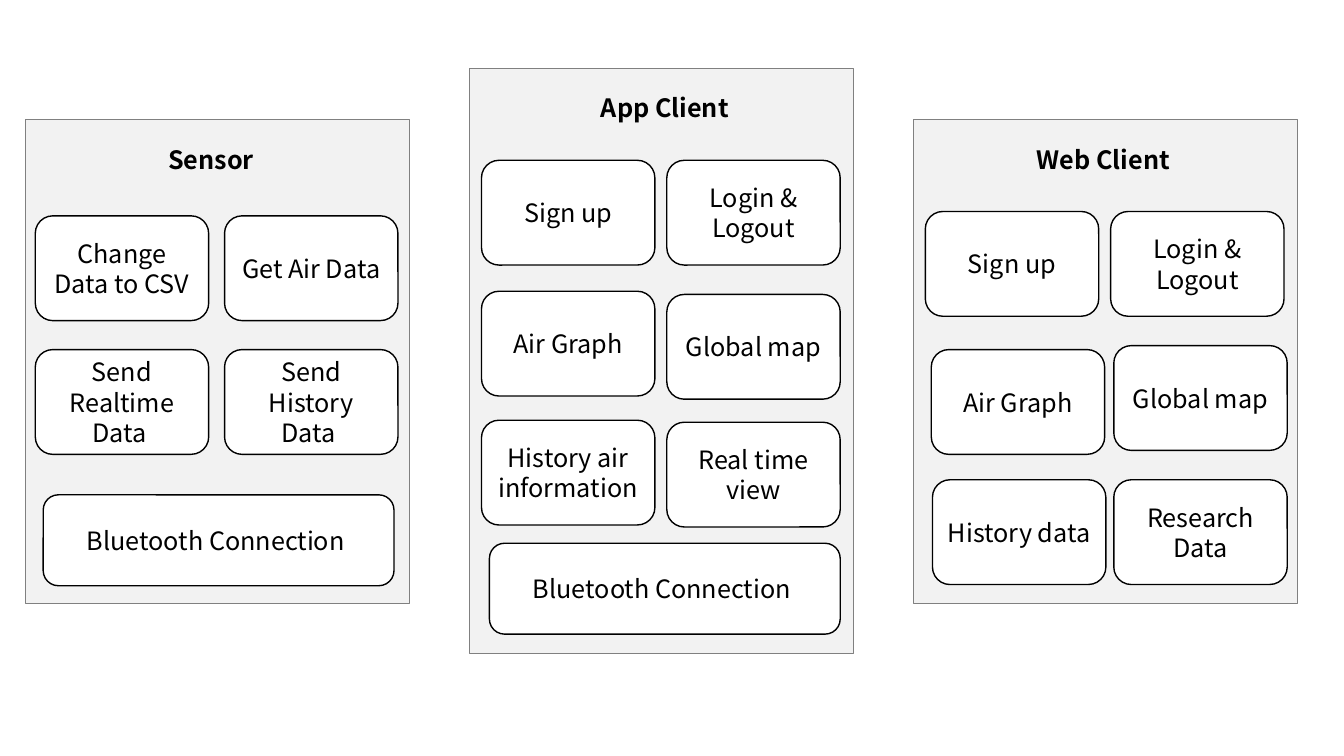
import dataclasses
import typing

import pptx
import pptx.dml.color
import pptx.enum.shapes
import pptx.enum.text
import pptx.util

Cm = pptx.util.Cm
KINDS = pptx.enum.shapes.MSO_SHAPE
ALIGN = pptx.enum.text.PP_ALIGN
HUES = {"panel": "F2F2F2", "edge": "808080", "tile": "FFFFFF", "ink": "000000"}
FONT = {"name": "Noto Sans CJK KR", "size": pptx.util.Pt(18)}
PITCH = 11.185  # left edge to left edge of neighbouring panels, in cm
WIDTH = 9.68


@dataclasses.dataclass
class Tile:
    """A rounded box, placed in cm from its panel's corner."""
    text: str
    left: float
    top: float
    width: float = 4.37
    height: float = 2.64


@dataclasses.dataclass
class Panel:
    """A titled grey panel with its tiles, in cm."""
    title: str
    top: float
    height: float
    indent: float
    tiles: list[Tile]


def link(left: float, top: float) -> Tile:
    """Return the wide connection tile."""
    return Tile("Bluetooth Connection ", left, top, 8.84, 2.29)


PANELS = [
    Panel("Sensor", 3.02, 12.19, 3.35, [
        Tile("Change Data to CSV", 0.25, 2.42),
        Tile("Get Air Data", 5.02, 2.42),
        Tile("Send Realtime Data ", 0.25, 5.79),
        Tile("Send History Data ", 5.02, 5.79),
        link(0.45, 9.45)]),
    Panel("App Client", 1.73, 14.73, 3.07, [
        Tile("Sign up", 0.31, 2.31),
        Tile("Login & Logout", 4.98, 2.31),
        Tile("Air Graph", 0.31, 5.61),
        Tile("Global map", 4.98, 5.69),
        Tile("History air information", 0.31, 8.86),
        Tile("Real time view", 4.98, 8.91),
        link(0.51, 11.96)]),
    Panel("Web Client", 3.02, 12.19, 2.87, [
        Tile("Sign up", 0.31, 2.31),
        Tile("Login & Logout", 4.98, 2.31),
        Tile("Air Graph", 0.46, 5.79),
        Tile("Global map", 5.06, 5.69),
        Tile("History data", 0.49, 9.07),
        Tile("Research Data", 5.06, 9.07)]),
]


def tint(name: str) -> pptx.dml.color.RGBColor:
    """Look up a named colour."""
    return pptx.dml.color.RGBColor.from_string(HUES[name])


def write(shape: typing.Any, text: str, align: ALIGN, bold: bool) -> None:
    """Put one formatted paragraph into a shape."""
    frame = shape.text_frame
    frame.word_wrap = True
    para = frame.paragraphs[0]
    para.alignment = align
    run = para.add_run()
    run.text = text
    for key, value in {**FONT, "bold": bold}.items():
        setattr(run.font, key, value)
    run.font.color.rgb = tint("ink")


def block(shapes: typing.Any, kind: KINDS, area: tuple[float, ...],
          fill: str, edge: str, weight: float) -> typing.Any:
    """Draw a filled, outlined shape over an area in cm."""
    shape = shapes.add_shape(kind, *map(Cm, area))
    shape.shadow.inherit = False
    shape.fill.solid()
    shape.fill.fore_color.rgb = tint(fill)
    shape.line.color.rgb = tint(edge)
    shape.line.width = pptx.util.Pt(weight)
    return shape


def draw(shapes: typing.Any, panel: Panel, left: float) -> None:
    """Draw a panel, its title and its tiles."""
    block(shapes, KINDS.RECTANGLE, (left, panel.top, WIDTH, panel.height),
          "panel", "edge", 0.5)
    area = (left + panel.indent, panel.top + 0.48, 5.33, 1.02)
    title = shapes.add_textbox(*map(Cm, area))
    write(title, panel.title, ALIGN.LEFT, True)
    for tile in panel.tiles:
        area = (left + tile.left, panel.top + tile.top, tile.width, tile.height)
        box = block(shapes, KINDS.ROUNDED_RECTANGLE, area, "tile", "ink", 1)
        box.text_frame.vertical_anchor = pptx.enum.text.MSO_ANCHOR.MIDDLE
        write(box, tile.text, ALIGN.CENTER, False)


def main() -> None:
    """Build and save the slide."""
    deck = pptx.Presentation()
    deck.slide_width, deck.slide_height = Cm(33.87), Cm(19.05)
    slide = deck.slides.add_slide(deck.slide_layouts[6])
    for index, panel in enumerate(PANELS):
        draw(slide.shapes, panel, 0.64 + index * PITCH)
    deck.save("out.pptx")


main()
